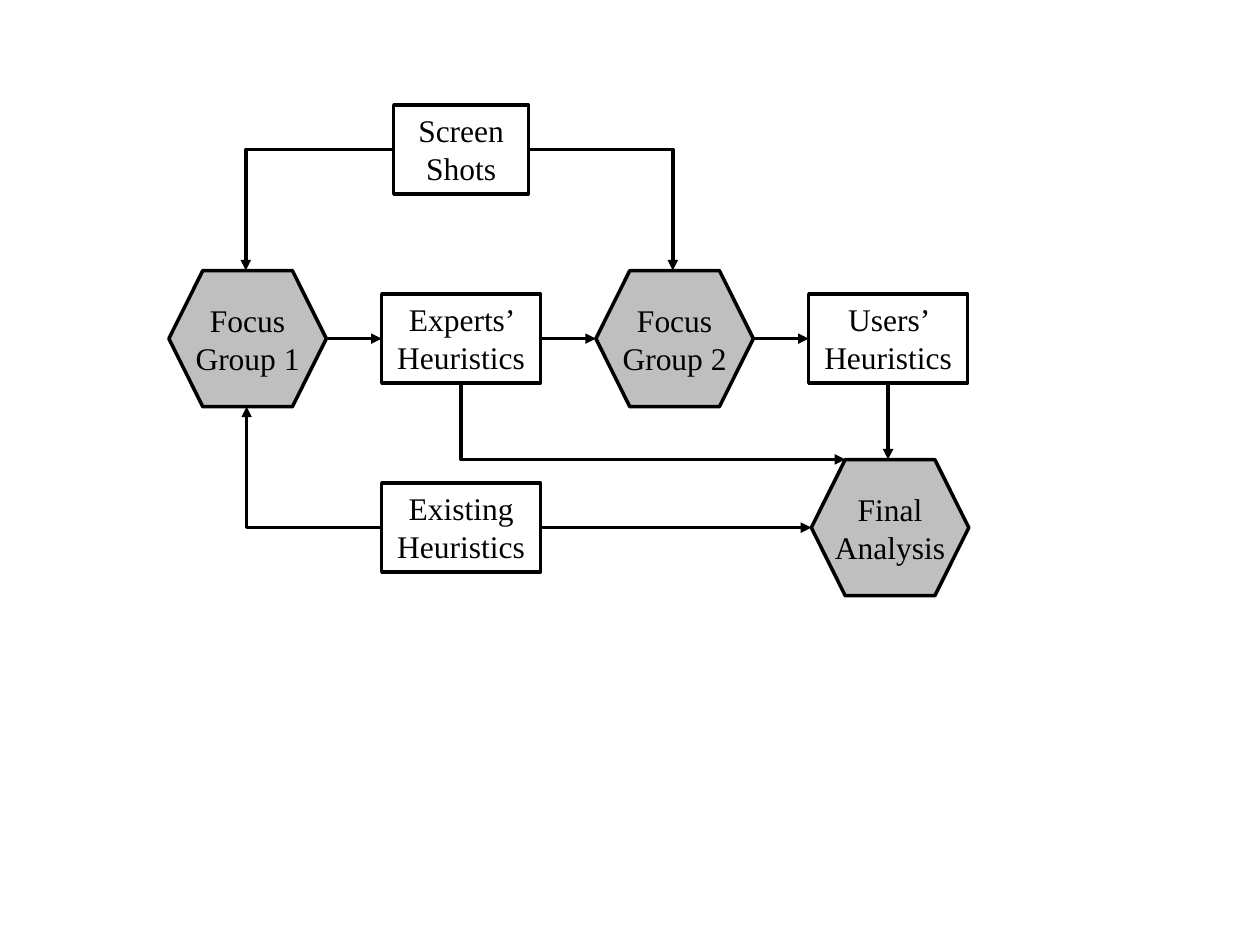
from pptx import Presentation
from pptx.dml.color import RGBColor
from pptx.enum.shapes import MSO_CONNECTOR as Connector, MSO_SHAPE as Shape
from pptx.enum.text import MSO_ANCHOR as Anchor, PP_ALIGN as Align
from pptx.oxml.ns import qn
from pptx.util import Pt
from lxml.etree import SubElement

BLACK, WHITE, GRAY = "000000", "FFFFFF", "BFBFBF"
COLUMNS = [141.5 + 122 * index for index in range(4)]
ROWS = [85.5 + 108 * index for index in range(3)]
BOX_WIDTH, BOX_HEIGHT = 90.7, 51
HEX_WIDTH, HEX_HEIGHT, HEX_CORNER = 90, 77.8, 19.4
FINAL_X = COLUMNS[3] + 1.1


def color(hex_string):
    return RGBColor.from_string(hex_string)


def add_text(shape, text, font="Times New Roman", size=18, hex_color=BLACK, anchor=Anchor.TOP):
    frame = shape.text_frame
    frame.word_wrap = True
    frame.vertical_anchor = anchor
    paragraph = frame.paragraphs[0]
    paragraph.alignment = Align.CENTER
    run = paragraph.add_run()
    run.text = text
    run.font.name, run.font.size = font, Pt(size)
    run.font.color.rgb = color(hex_color)


def style_line(line):
    line.color.rgb = color(BLACK)
    line.width = Pt(2)


def style_shape(shape, fill):
    shape.shadow.inherit = False
    shape.fill.solid()
    shape.fill.fore_color.rgb = color(fill)
    style_line(shape.line)


def add_box(slide, text, x, y, width=BOX_WIDTH):
    """Add a white box centred on x, y."""
    shape = slide.shapes.add_shape(Shape.RECTANGLE, Pt(x - width / 2), Pt(y - BOX_HEIGHT / 2),
                                   Pt(width), Pt(BOX_HEIGHT))
    style_shape(shape, WHITE)
    add_text(shape, text)


def add_hexagon(slide, text, x, y):
    """Add a gray hexagon centred on x, y."""
    half_width, half_height = HEX_WIDTH / 2, HEX_HEIGHT / 2
    inner = half_width - HEX_CORNER
    offsets = [(-half_width, 0), (-inner, -half_height), (inner, -half_height),
               (half_width, 0), (inner, half_height), (-inner, half_height)]
    points = [(Pt(x + dx), Pt(y + dy)) for dx, dy in offsets]
    builder = slide.shapes.build_freeform(*points[0])
    builder.add_line_segments(points[1:], close=True)
    shape = builder.convert_to_shape()
    style_shape(shape, GRAY)
    add_text(shape, text, anchor=Anchor.MIDDLE)


def add_arrow(slide, start, end, elbow=False, arrow_end="tailEnd"):
    """Add an arrow; an elbow runs horizontally first, then vertically."""
    kind = Connector.ELBOW if elbow else Connector.STRAIGHT
    connector = slide.shapes.add_connector(kind, *(Pt(value) for value in (*start, *end)))
    style_line(connector.line)
    properties = connector._element.spPr
    SubElement(properties.find(qn("a:ln")), qn(f"a:{arrow_end}"), type="triangle")
    SubElement(properties, qn("a:effectLst"))
    if elbow:
        adjustments = properties.find(qn("a:prstGeom")).get_or_add_avLst()
        SubElement(adjustments, qn("a:gd"), name="adj1", fmla="val 100000")


def main():
    presentation = Presentation()
    presentation.slide_width, presentation.slide_height = Pt(720), Pt(540)
    slide = presentation.slides.add_slide(presentation.slide_layouts[6])

    focus1, experts, focus2, users = COLUMNS
    top, middle, bottom = ROWS
    half_box, half_box_height = BOX_WIDTH / 2, BOX_HEIGHT / 2
    half_hex, half_hex_height = HEX_WIDTH / 2, HEX_HEIGHT / 2
    screen_width = 77
    final_top = bottom - half_hex_height

    # Boxes and hexagons
    add_box(slide, "Screen Shots", experts, top, screen_width)
    add_box(slide, "Experts’ Heuristics", experts, middle)
    add_box(slide, "Users’ Heuristics", users, middle)
    add_box(slide, "Existing Heuristics", experts, bottom)
    add_hexagon(slide, "Focus Group 1", focus1, middle)
    add_hexagon(slide, "Focus Group 2", focus2, middle)
    add_hexagon(slide, "Final Analysis", FINAL_X, bottom)

    # Straight arrows
    add_arrow(slide, (focus1 + half_hex, middle), (experts - half_box, middle))
    add_arrow(slide, (experts + half_box, middle), (focus2 - half_hex, middle))
    add_arrow(slide, (focus2 + half_hex, middle), (users - half_box, middle))
    add_arrow(slide, (experts + half_box, bottom), (FINAL_X - half_hex, bottom))
    add_arrow(slide, (users, middle + half_box_height), (users, final_top))

    # Elbow arrows into the focus groups
    for side, focus in ((-1, focus1), (1, focus2)):
        add_arrow(slide, (experts + side * screen_width / 2, top),
                  (focus - 1, middle - half_hex_height), elbow=True)
    add_arrow(slide, (experts - half_box, bottom),
              (focus1 - 0.5, middle + half_hex_height), elbow=True)

    # Elbow from the experts' box, drawn from its arrowhead back to the box
    add_arrow(slide, (FINAL_X - half_hex + HEX_CORNER, final_top),
              (experts, middle + half_box_height), elbow=True, arrow_end="headEnd")

    presentation.save("out.pptx")


if __name__ == "__main__":
    main()
